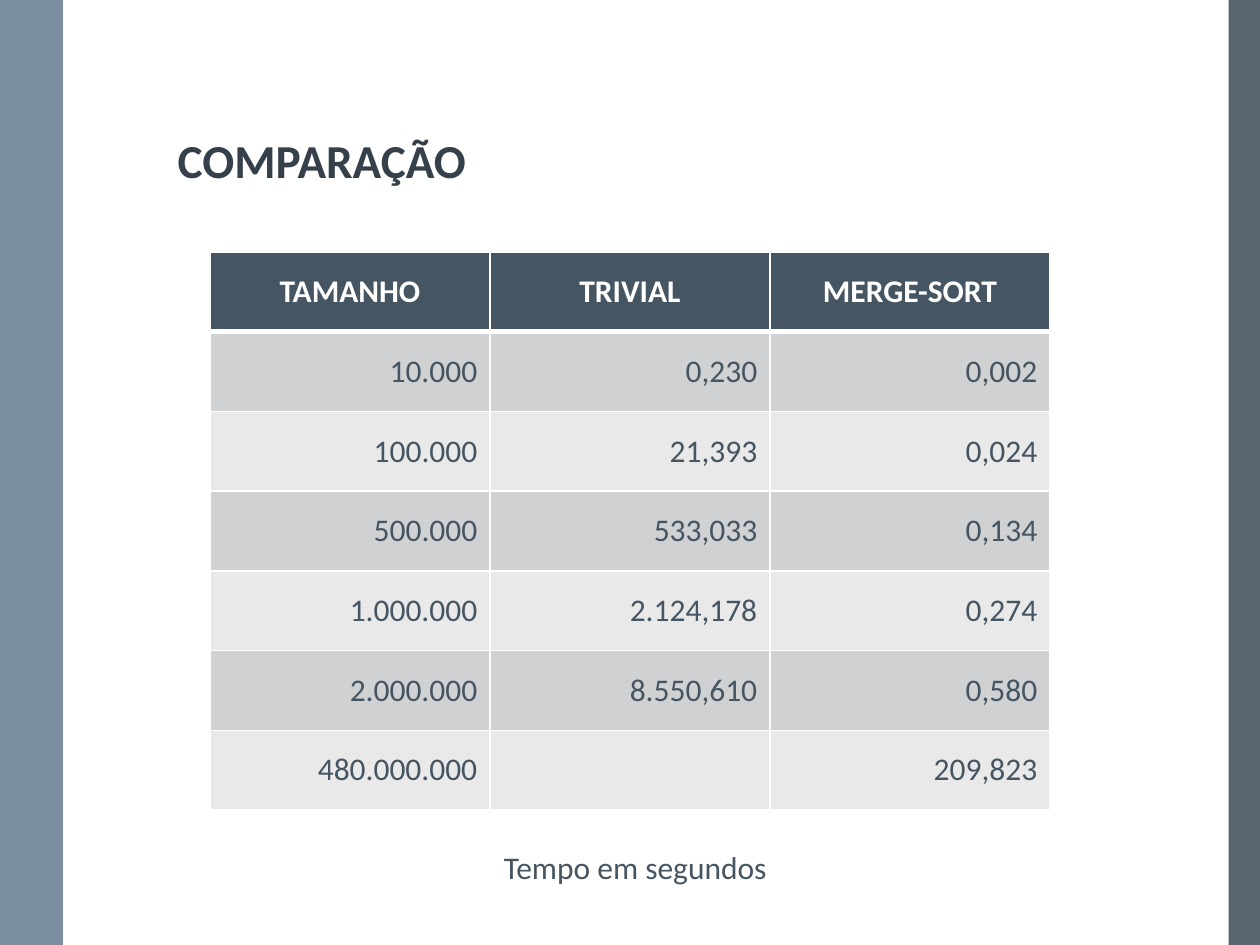
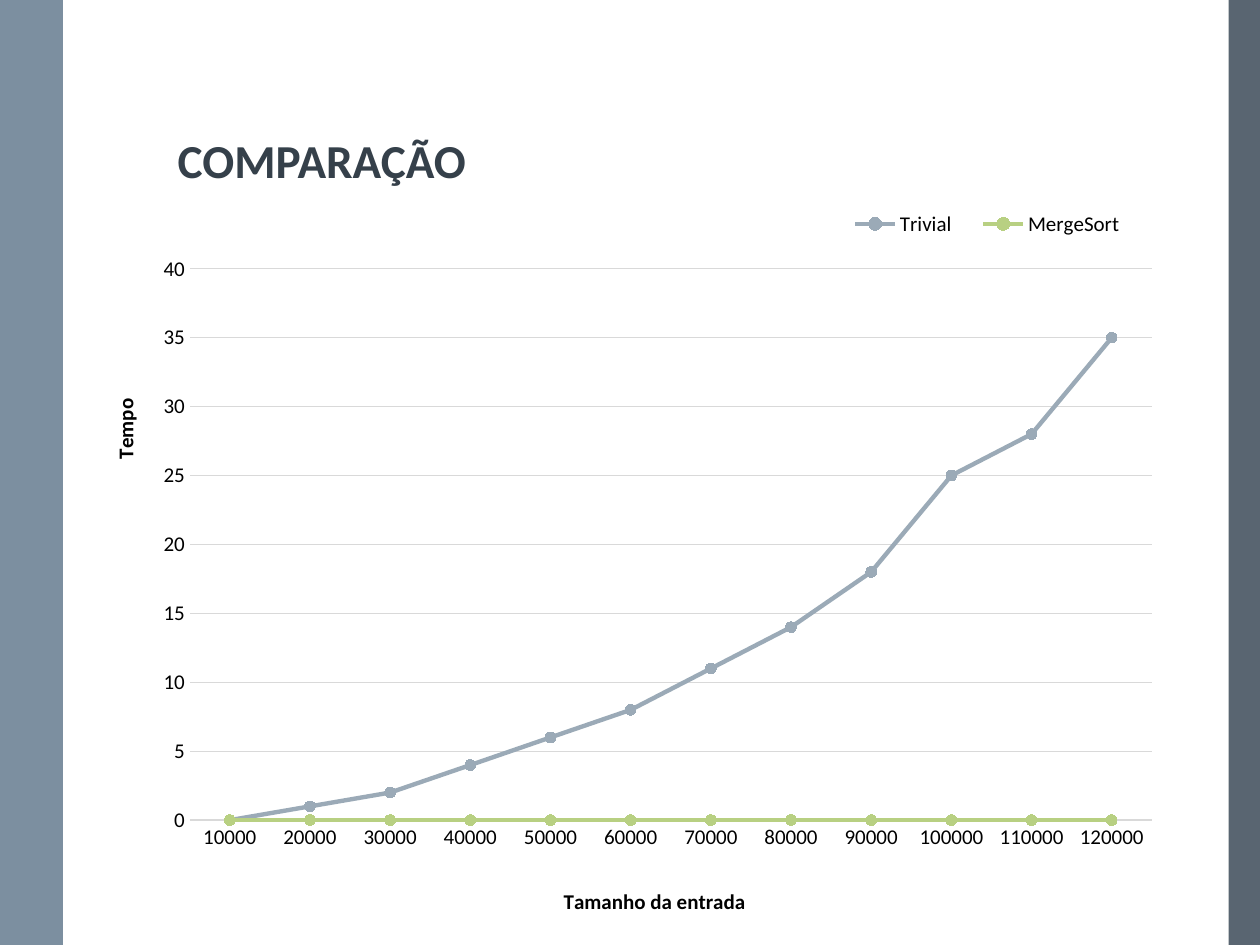
"""Build two slides comparing the run times of two sorting methods."""
from lxml import etree
from pptx import Presentation
from pptx.chart.data import CategoryChartData
from pptx.dml.color import RGBColor
from pptx.enum.chart import XL_CHART_TYPE, XL_LEGEND_POSITION, XL_MARKER_STYLE, XL_TICK_MARK
from pptx.enum.shapes import MSO_CONNECTOR, MSO_SHAPE
from pptx.enum.text import MSO_ANCHOR, PP_ALIGN
from pptx.oxml.ns import qn
from pptx.util import Pt

LINE = XL_CHART_TYPE.LINE_MARKERS
BOTTOM = XL_LEGEND_POSITION.BOTTOM
CIRCLE = XL_MARKER_STYLE.CIRCLE
NONE = XL_TICK_MARK.NONE
RECT = MSO_SHAPE.RECTANGLE
STRAIGHT = MSO_CONNECTOR.STRAIGHT
LEFT, CENTER, RIGHT = PP_ALIGN.LEFT, PP_ALIGN.CENTER, PP_ALIGN.RIGHT
MIDDLE, LOW = MSO_ANCHOR.MIDDLE, MSO_ANCHOR.BOTTOM

WIDTH, HEIGHT = 720, 540
FONT = "Calibri"
COLORS = {
    "white": "FFFFFF", "black": "000000", "title": "35404A", "text": "465562",
    "left": "6A8093", "right": "475562", "odd": "CFD1D3", "even": "E9E9EA",
    "grid": "D9D9D9", "blue": "9BAAB7", "green": "B8D082",
}


def rgb(name):
    return RGBColor.from_string(COLORS[name])


class Deck:
    """Hold the style and the current slide."""

    def __init__(self):
        self.prs = Presentation()
        self.prs.slide_width, self.prs.slide_height = Pt(WIDTH), Pt(HEIGHT)
        self.slide = None

    def start(self, title):
        self.slide = self.prs.slides.add_slide(self.prs.slide_layouts[5])
        self.band(WIDTH - 18, 18, "right", 90)
        self.band(0, 36, "left", 88)
        self.edge(36.5)
        self.title(title)

    def band(self, left, width, color, alpha):
        shape = self.slide.shapes.add_shape(RECT, Pt(left), 0, Pt(width), Pt(HEIGHT))
        shape.shadow.inherit = False
        shape.fill.solid()
        shape.fill.fore_color.rgb = rgb(color)
        shape.line.fill.background()
        tone = shape._element.spPr.find(".//" + qn("a:srgbClr"))
        etree.SubElement(tone, qn("a:alpha")).set("val", str(alpha * 1000))

    def edge(self, left):
        line = self.slide.shapes.add_connector(STRAIGHT, Pt(left), 0, Pt(left), Pt(HEIGHT))
        line.line.color.rgb = rgb("white")
        line.line.width = Pt(1.5)
        etree.SubElement(line._element.spPr, qn("a:effectLst"))

    def style(self, font, size, color, bold=False):
        font.name, font.size, font.bold = FONT, Pt(size), bold
        font.color.rgb = rgb(color)

    def title(self, text):
        shape = self.slide.shapes.title
        shape.left, shape.top = Pt(94.3), Pt(13.7)
        shape.width, shape.height = Pt(578), Pt(98)
        frame = shape.text_frame
        frame.text, frame.vertical_anchor = text, LOW
        para = frame.paragraphs[0]
        para.alignment, para.line_spacing = LEFT, 0.9
        self.style(para.font, 27, "title", True)

    def note(self, text, left, top, width, height):
        box = self.slide.shapes.add_textbox(Pt(left), Pt(top), Pt(width), Pt(height))
        box.text_frame.text = text
        box.text_frame.word_wrap = False
        self.style(box.text_frame.paragraphs[0].font, 18, "text")

    def border(self, cell, row):
        props = cell._tc.get_or_add_tcPr()
        widths = {"L": 1, "R": 1, "T": 3 if row == 1 else 1, "B": 1 if row else 3}
        for spot, (side, width) in enumerate(widths.items()):
            line = etree.Element(qn("a:ln" + side), w=str(Pt(width)))
            fill = etree.SubElement(line, qn("a:solidFill"))
            etree.SubElement(fill, qn("a:srgbClr")).set("val", COLORS["white"])
            props.insert(spot, line)

    def table(self, rows, left, top, width, height):
        grid = self.slide.shapes.add_table(
            len(rows), len(rows[0]), Pt(left), Pt(top), Pt(width), Pt(height)).table
        for r, row in enumerate(rows):
            for c, text in enumerate(row):
                cell = grid.cell(r, c)
                cell.text, cell.vertical_anchor = text, MIDDLE
                cell.fill.solid()
                shade = ("odd" if r % 2 else "even") if r else "text"
                cell.fill.fore_color.rgb = rgb(shade)
                para = cell.text_frame.paragraphs[0]
                para.alignment = RIGHT if r else CENTER
                self.style(para.font, 18, "text" if r else "white", r == 0)
                self.border(cell, r)

    def place(self, part, inner=False, **spots):
        for old in part.findall(qn("c:layout")):
            part.remove(old)
        layout = etree.Element(qn("c:layout"))
        manual = etree.SubElement(layout, qn("c:manualLayout"))
        modes = {"layoutTarget": "inner"} if inner else {}
        modes.update(xMode="edge", yMode="edge")
        for tag, value in (modes | spots).items():
            etree.SubElement(manual, qn("c:" + tag)).set("val", str(value))
        over = part.find(qn("c:overlay"))
        if over is None:
            part.insert(0, layout)
        else:
            over.addprevious(layout)

    def axis(self, axis, text, x, y):
        axis.major_tick_mark = axis.minor_tick_mark = NONE
        self.style(axis.tick_labels.font, 12, "black")
        frame = axis.axis_title.text_frame
        frame.text = text
        self.style(frame.paragraphs[0].font, 12, "black", True)
        self.place(axis.axis_title._element, x=x, y=y)

    def rule(self, line):
        line.color.rgb = rgb("grid")
        line.width = Pt(0.75)

    def chart(self, cats, series, names, left, top, width, height):
        data = CategoryChartData()
        data.categories = cats
        for name, (values, _) in series.items():
            data.add_series(name, values)
        chart = self.slide.shapes.add_chart(
            LINE, Pt(left), Pt(top), Pt(width), Pt(height), data).chart
        self.style(chart.font, 10, "text")
        chart.has_title = False
        chart.plots[0].vary_by_categories = False
        self.place(chart._chartSpace.chart.plotArea, True, x=0.088, y=0.2, w=0.889, h=0.677)

        chart.has_legend = True
        legend = chart.legend
        legend.position, legend.include_in_layout = BOTTOM, False
        self.style(legend.font, 12, "black")
        self.place(legend._element, x=0.68, y=0.12, w=0.29, h=0.05)

        self.axis(chart.category_axis, names[0], 0.43, 0.955)
        self.rule(chart.category_axis.format.line)
        scale = chart.value_axis
        self.axis(scale, names[1], 0.012, 0.355)
        scale.minimum_scale, scale.maximum_scale, scale.major_unit = 0, 40, 5
        scale.format.line.fill.background()
        self.rule(scale.major_gridlines.format.line)

        for line, (_, color) in zip(chart.plots[0].series, series.values()):
            line.smooth = False
            line.format.line.color.rgb = rgb(color)
            line.format.line.width = Pt(2.5)
            mark = line.marker
            mark.style, mark.size = CIRCLE, 6
            mark.format.fill.solid()
            mark.format.fill.fore_color.rgb = rgb(color)
            mark.format.line.color.rgb = rgb(color)


TIMES = [
    ("TAMANHO", "TRIVIAL", "MERGE-SORT"),
    ("10.000", "0,230", "0,002"),
    ("100.000", "21,393", "0,024"),
    ("500.000", "533,033", "0,134"),
    ("1.000.000", "2.124,178", "0,274"),
    ("2.000.000", "8.550,610", "0,580"),
    ("480.000.000", "", "209,823"),
]
SIZES = [str(n * 10000) for n in range(1, 13)]
CURVES = {
    "Trivial": ([0, 1, 2, 4, 6, 8, 11, 14, 18, 25, 28, 35], "blue"),
    "MergeSort": ([0] * len(SIZES), "green"),
}

deck = Deck()
deck.start("COMPARAÇÃO")
deck.table(TIMES, 120, 144, 480, 319)
deck.note("Tempo em segundos", 280.8, 481, 186.5, 29)

deck.start("COMPARAÇÃO")
deck.chart(SIZES, CURVES, ("Tamanho da entrada", "Tempo"), 54, 60.5, 618.5, 466)

deck.prs.save("out.pptx")
